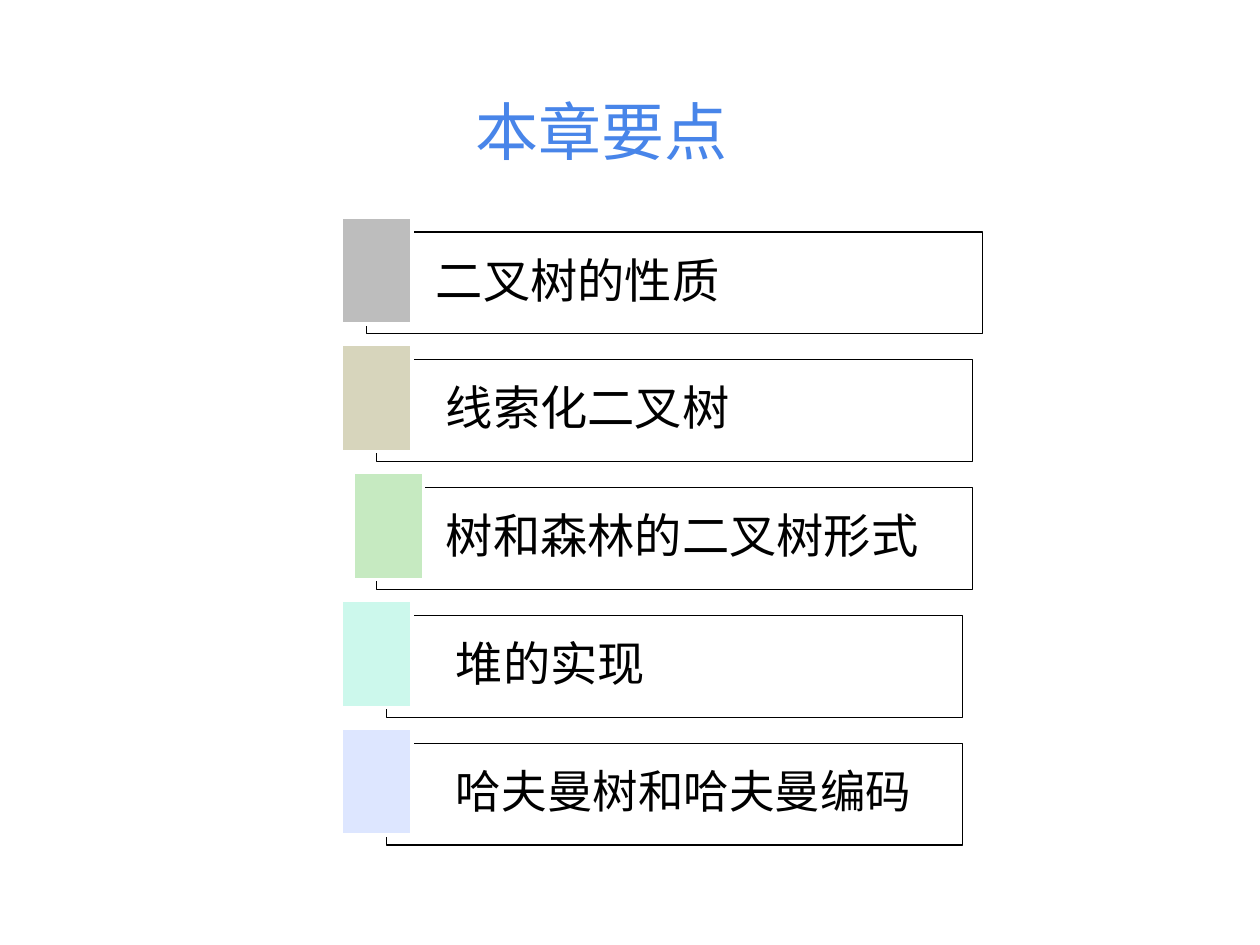
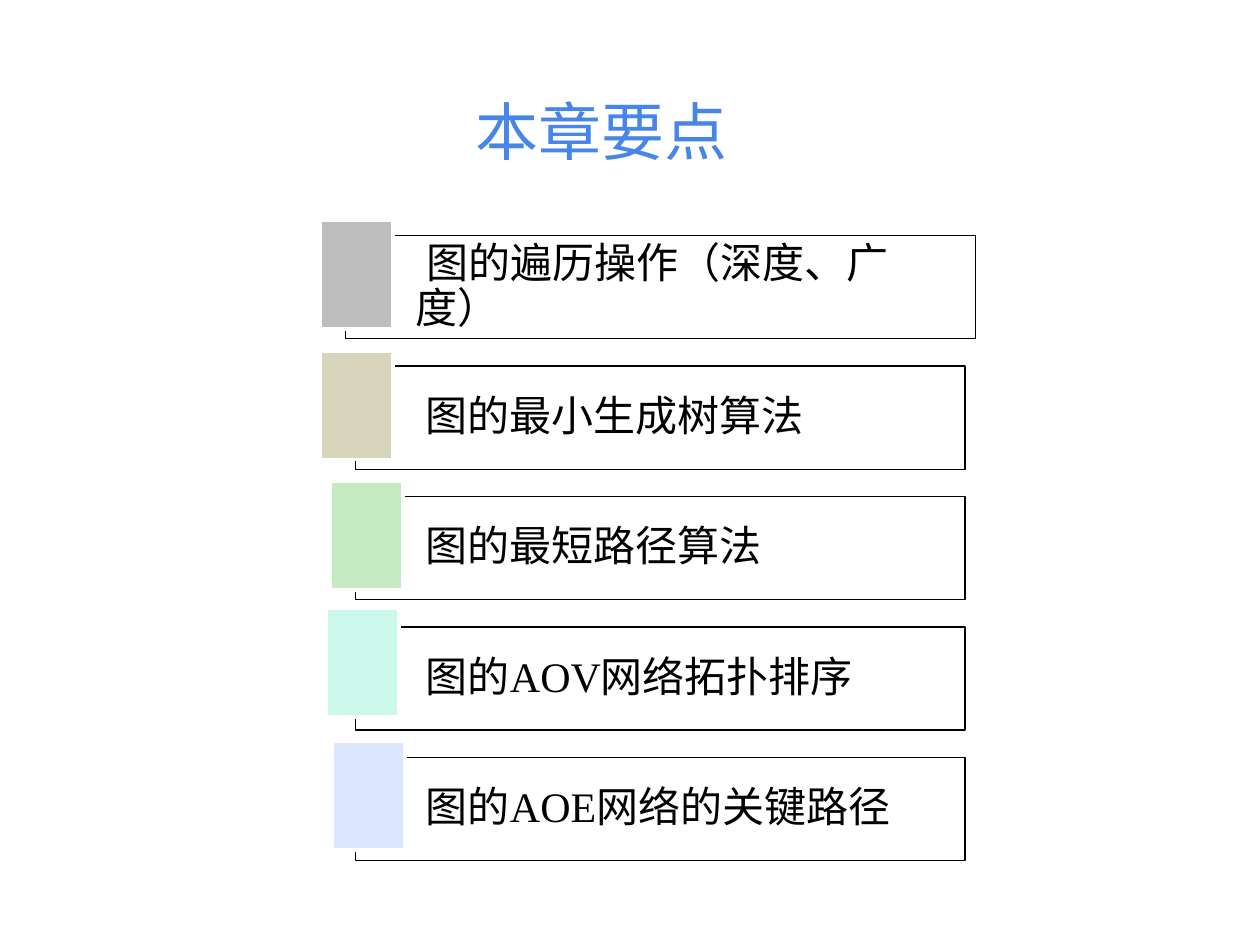
from pptx import Presentation
from pptx.dml.color import RGBColor
from pptx.enum import shapes, text
from pptx.util import Pt

FONT = "Times New Roman"
TITLE_COLOR = "4885E9"
INK = "000000"
PAPER = "FFFFFF"
MARKER_COLORS = ["BDBDBD", "D7D5BC", "C6EAC1", "CCF8EC", "DDE6FF"]
TITLE_BOX = (8.6, 49, 670.4, 59)

# Row insets narrow a row on both sides; marker nudges are (right, down).
CHAPTERS = [
    dict(
        title="本章要点",
        box=(209.5, 132.5, 352, 350.4),
        row_height=58.2,
        row_insets=[0, 5.7, 5.7, 11.5, 11.5],
        margins=(39.6, 7.9),
        marker=(-14.4, -8.6, 40.4, 61.2),
        nudges=[(0, 0), (0, 0), (6.5, 0), (0, 0), (0, 0)],
        points=[("二叉树的性质", 27), ("线索化二叉树", 27),
                ("树和森林的二叉树形式", 27), ("堆的实现", 27),
                ("哈夫曼树和哈夫曼编码", 26)],
        first_indent=0,
    ),
    dict(
        title="本章要点",
        box=(197.3, 134.6, 360, 357.2),
        row_height=59,
        row_insets=[0, 5.8, 5.8, 5.8, 5.8],
        margins=(40.3, 7.2),
        marker=(-14.4, -8.6, 41.6, 62),
        nudges=[(0, 0), (0, 0), (5.8, 0), (3.6, -1.8), (7, -0.6)],
        points=[("图的遍历操作（深度、广度）", 24), ("图的最小生成树算法", 24),
                ("图的最短路径算法", 24), ("图的AOV网络拓扑排序", 24),
                ("图的AOE网络的关键路径", 24)],
        first_indent=6,
    ),
]


def rgb(value):
    return RGBColor.from_string(value)


def apply_format(target, values):
    for name, value in values.items():
        setattr(target, name, value)


def write(frame, words, size, color, align, line_spacing=1.0):
    """Put one formatted paragraph in a text frame and return it."""
    para = frame.paragraphs[0]
    apply_format(para, dict(alignment=align, line_spacing=line_spacing))
    span = para.add_run()
    span.text = words
    apply_format(span.font, dict(name=FONT, size=Pt(size), bold=False))
    span.font.color.rgb = rgb(color)
    return para


def add_box(page, box, fill, line, line_width):
    rect = page.shapes.add_shape(shapes.MSO_SHAPE.RECTANGLE, *map(Pt, box))
    rect.shadow.inherit = False
    rect.fill.solid()
    rect.fill.fore_color.rgb = rgb(fill)
    rect.line.color.rgb = rgb(line)
    rect.line.width = Pt(line_width)
    return rect


def add_title(page, words):
    title = page.shapes.title
    sides = ("left", "top", "width", "height")
    apply_format(title, dict(zip(sides, map(Pt, TITLE_BOX))))
    apply_format(title.text_frame, dict(
        word_wrap=True, auto_size=text.MSO_AUTO_SIZE.NONE,
        vertical_anchor=text.MSO_ANCHOR.TOP))
    write(title.text_frame, words, 36, TITLE_COLOR, text.PP_ALIGN.CENTER)


def add_row(page, box, words, size, margins, indent):
    row = add_box(page, box, PAPER, INK, 0.75)
    indented, margin = map(Pt, margins)
    apply_format(row.text_frame, dict(
        word_wrap=True, vertical_anchor=text.MSO_ANCHOR.MIDDLE,
        margin_left=indented, margin_right=margin,
        margin_top=margin, margin_bottom=margin))
    para = write(row.text_frame, words, size, INK, text.PP_ALIGN.LEFT, 0.9)
    if indent:
        para._p.get_or_add_pPr().set("indent", str(Pt(indent)))


def add_point_list(page, chapter):
    """Stack the rows evenly in the chapter's box, each with its marker."""
    left, top, width, height = chapter["box"]
    row_height = chapter["row_height"]
    pitch = (height - row_height) / (len(chapter["points"]) - 1)
    marker_x, marker_y, marker_width, marker_height = chapter["marker"]
    rows = zip(chapter["points"], chapter["row_insets"],
               chapter["nudges"], MARKER_COLORS)
    for index, ((words, size), inset, (right, down), color) in enumerate(rows):
        row_top = top + index * pitch
        add_row(page, (left + inset, row_top, width - 2 * inset, row_height),
                words, size, chapter["margins"],
                chapter["first_indent"] if index == 0 else 0)
        add_box(page, (left + marker_x + right, row_top + marker_y + down,
                       marker_width, marker_height), color, PAPER, 2)


def main():
    deck = Presentation()
    deck.slide_width, deck.slide_height = Pt(720), Pt(540)
    for chapter in CHAPTERS:
        page = deck.slides.add_slide(deck.slide_layouts[5])
        add_title(page, chapter["title"])
        add_point_list(page, chapter)
    deck.save("out.pptx")


if __name__ == "__main__":
    main()
